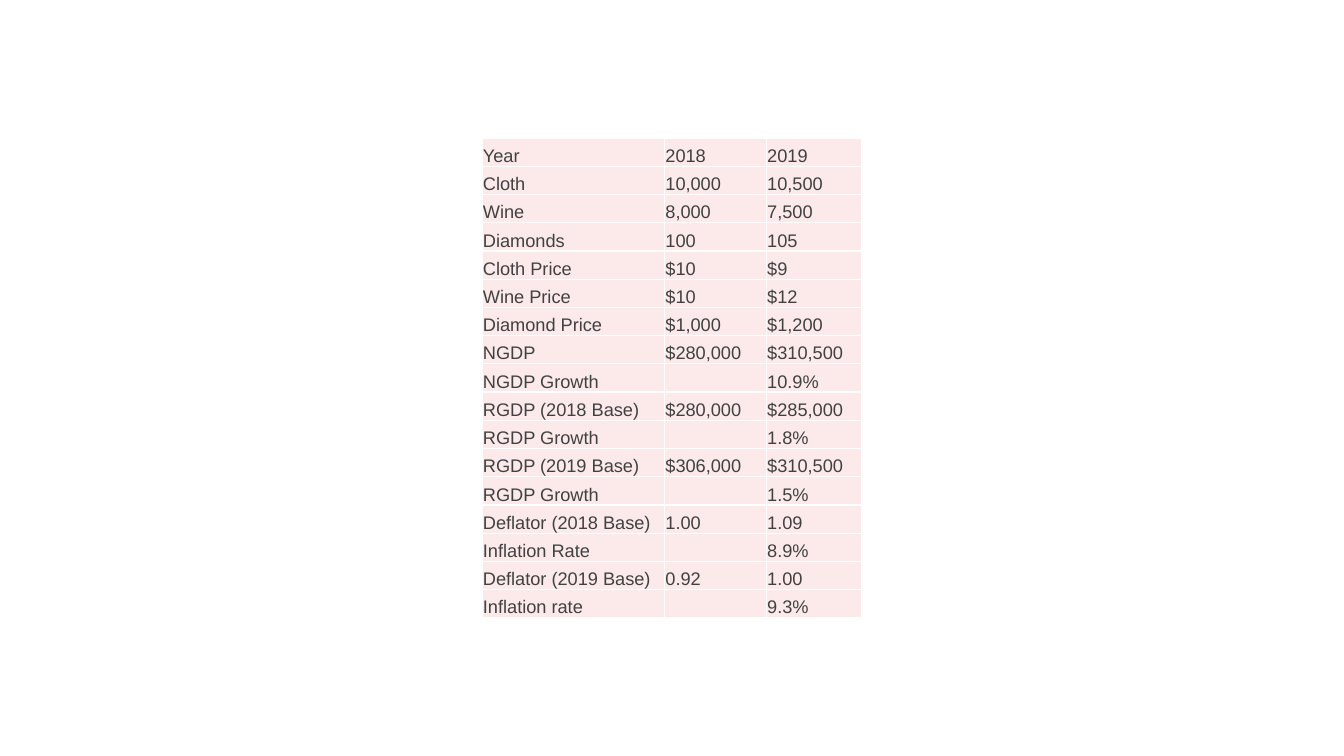
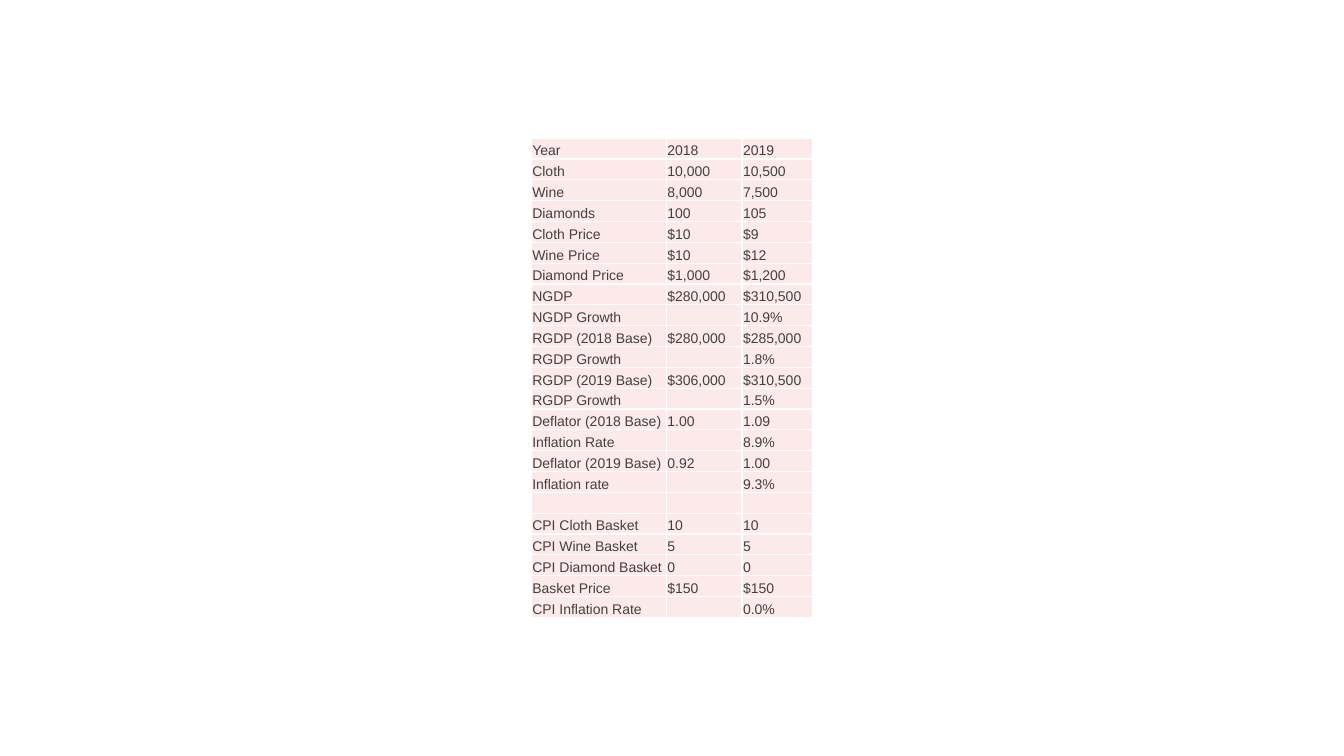
from dataclasses import dataclass

from lxml.etree import SubElement
from pptx import Presentation
from pptx.dml.color import RGBColor
from pptx.enum.text import MSO_ANCHOR
from pptx.oxml import parse_xml
from pptx.oxml.ns import nsdecls, qn
from pptx.util import Inches, Pt

SLIDE_WIDTH, SLIDE_HEIGHT = 13.33, 7.5
TABLE_TOP, TABLE_HEIGHT = 1.37, 4.76
FONT = "Arial"
INK, BLUSH, RULE = "414141", "FCEAEA", "FFFFFF"
RULE_WIDTH = 1
INSET = 0.01

Row = tuple[str, str, str]

GDP_ROWS: list[Row] = [
    ("Year", "2018", "2019"),
    ("Cloth", "10,000", "10,500"),
    ("Wine", "8,000", "7,500"),
    ("Diamonds", "100", "105"),
    ("Cloth Price", "$10", "$9"),
    ("Wine Price", "$10", "$12"),
    ("Diamond Price", "$1,000", "$1,200"),
    ("NGDP", "$280,000", "$310,500"),
    ("NGDP Growth", "", "10.9%"),
    ("RGDP (2018 Base)", "$280,000", "$285,000"),
    ("RGDP Growth", "", "1.8%"),
    ("RGDP (2019 Base)", "$306,000", "$310,500"),
    ("RGDP Growth", "", "1.5%"),
    ("Deflator (2018 Base)", "1.00", "1.09"),
    ("Inflation Rate", "", "8.9%"),
    ("Deflator (2019 Base)", "0.92", "1.00"),
    ("Inflation rate", "", "9.3%"),
]
CPI_ROWS: list[Row] = [
    ("", "", ""),
    ("CPI Cloth Basket", "10", "10"),
    ("CPI Wine Basket", "5", "5"),
    ("CPI Diamond Basket", "0", "0"),
    ("Basket Price", "$150", "$150"),
    ("CPI Inflation Rate", "", "0.0%"),
]


@dataclass(frozen=True)
class EconomyTable:
    rows: list[Row]
    column_widths: tuple[float, float, float]
    font_size: int


ECONOMY_TABLES = [
    EconomyTable(GDP_ROWS, (1.81, 1.01, 0.95), 13),
    EconomyTable(GDP_ROWS + CPI_ROWS, (1.34, 0.75, 0.70), 10),
]


def color(hex_value: str) -> RGBColor:
    return RGBColor.from_string(hex_value)


def add_borders(cell) -> None:
    properties = cell._tc.get_or_add_tcPr()
    for position, side in enumerate(("lnL", "lnR", "lnT", "lnB")):
        border = parse_xml(
            f'<a:{side} {nsdecls("a")} w="{Pt(RULE_WIDTH)}"><a:solidFill>'
            f'<a:srgbClr val="{RULE}"/></a:solidFill></a:{side}>'
        )
        properties.insert(position, border)


def fill_cell(cell, text: str, font_size: int) -> None:
    cell.fill.solid()
    cell.fill.fore_color.rgb = color(BLUSH)
    add_borders(cell)
    cell.vertical_anchor = MSO_ANCHOR.BOTTOM
    cell.margin_left = cell.margin_right = cell.margin_top = Inches(INSET)
    cell.margin_bottom = 0
    cell.text = text
    paragraph = cell.text_frame.paragraphs[0]
    paragraph.font.name = FONT
    paragraph.font.size = Pt(font_size)
    paragraph.font.color.rgb = color(INK)
    if not text:
        SubElement(paragraph._p, qn("a:endParaRPr"), sz=str(font_size * 100))


def draw_economy(slide, economy: EconomyTable) -> None:
    width = sum(economy.column_widths)
    table = slide.shapes.add_table(
        len(economy.rows), len(economy.column_widths),
        Inches((SLIDE_WIDTH - width) / 2), Inches(TABLE_TOP),
        Inches(width), Inches(TABLE_HEIGHT),
    ).table
    table.first_row = table.horz_banding = False
    for column, column_width in zip(table.columns, economy.column_widths):
        column.width = Inches(column_width)
    for row, texts in zip(table.rows, economy.rows):
        row.height = Inches(TABLE_HEIGHT / len(economy.rows))
        for cell, text in zip(row.cells, texts):
            fill_cell(cell, text, economy.font_size)


def main() -> None:
    deck = Presentation()
    deck.slide_width, deck.slide_height = Inches(SLIDE_WIDTH), Inches(SLIDE_HEIGHT)
    blank = deck.slide_layouts[6]
    for economy in ECONOMY_TABLES:
        draw_economy(deck.slides.add_slide(blank), economy)
    deck.save("out.pptx")


if __name__ == "__main__":
    main()
